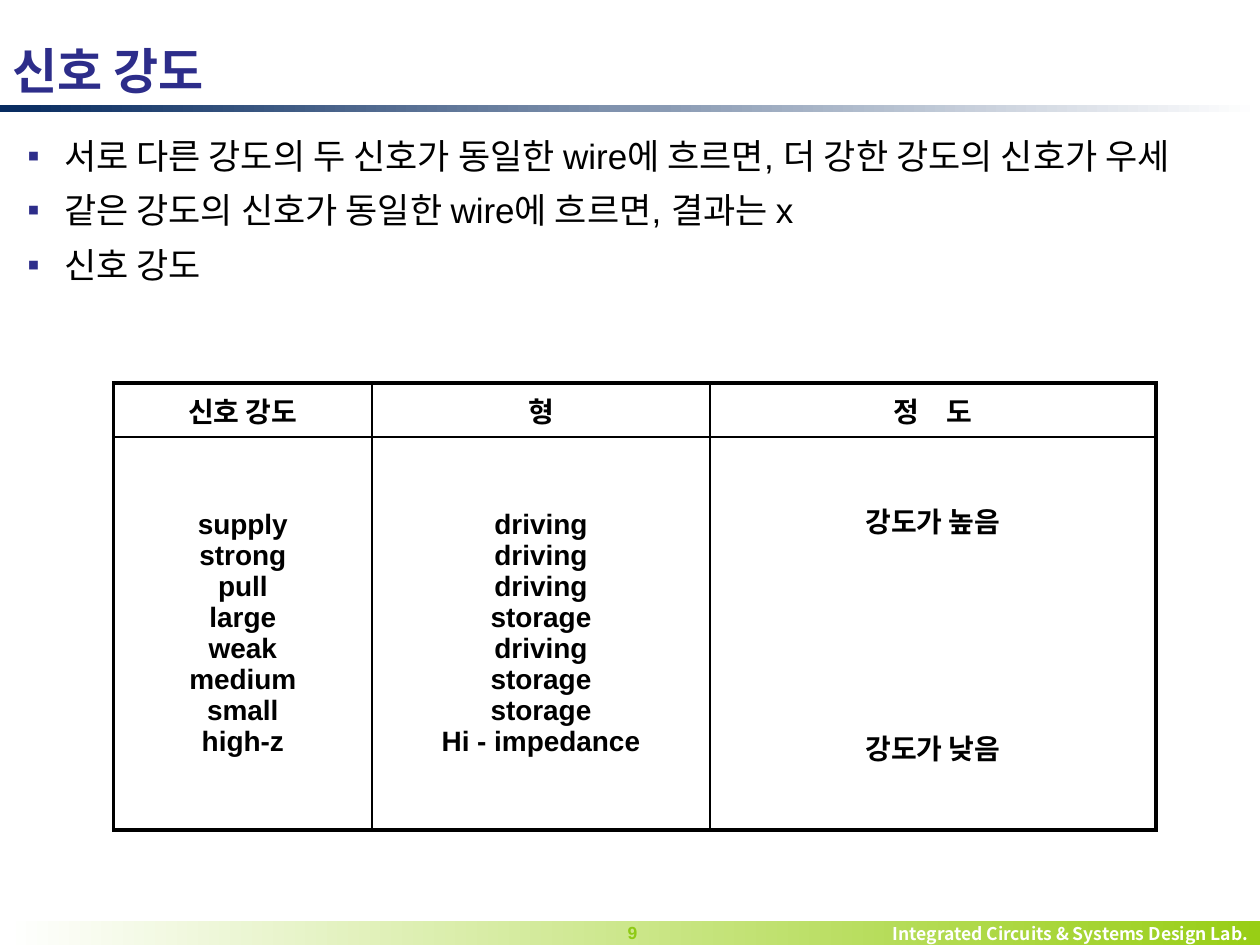
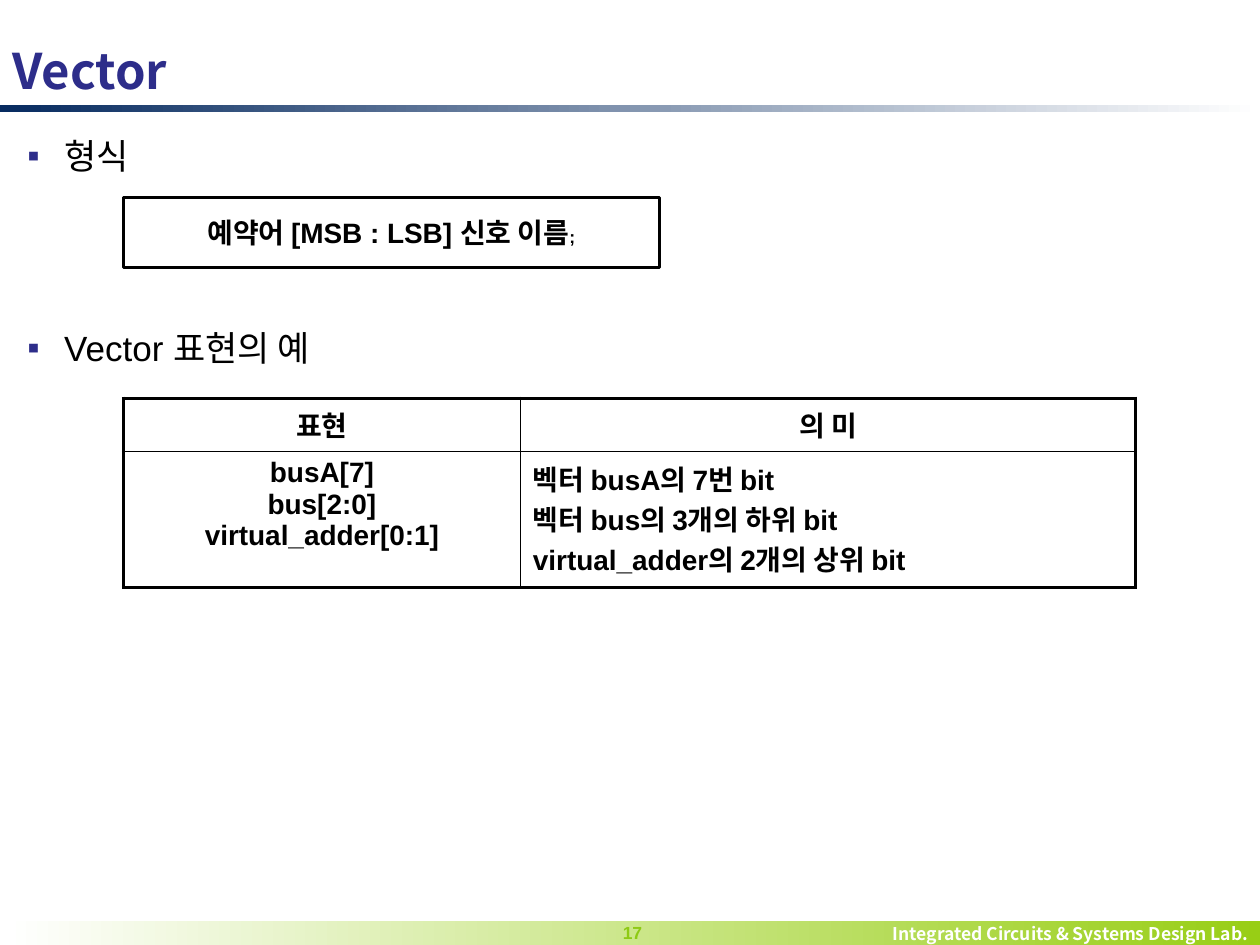
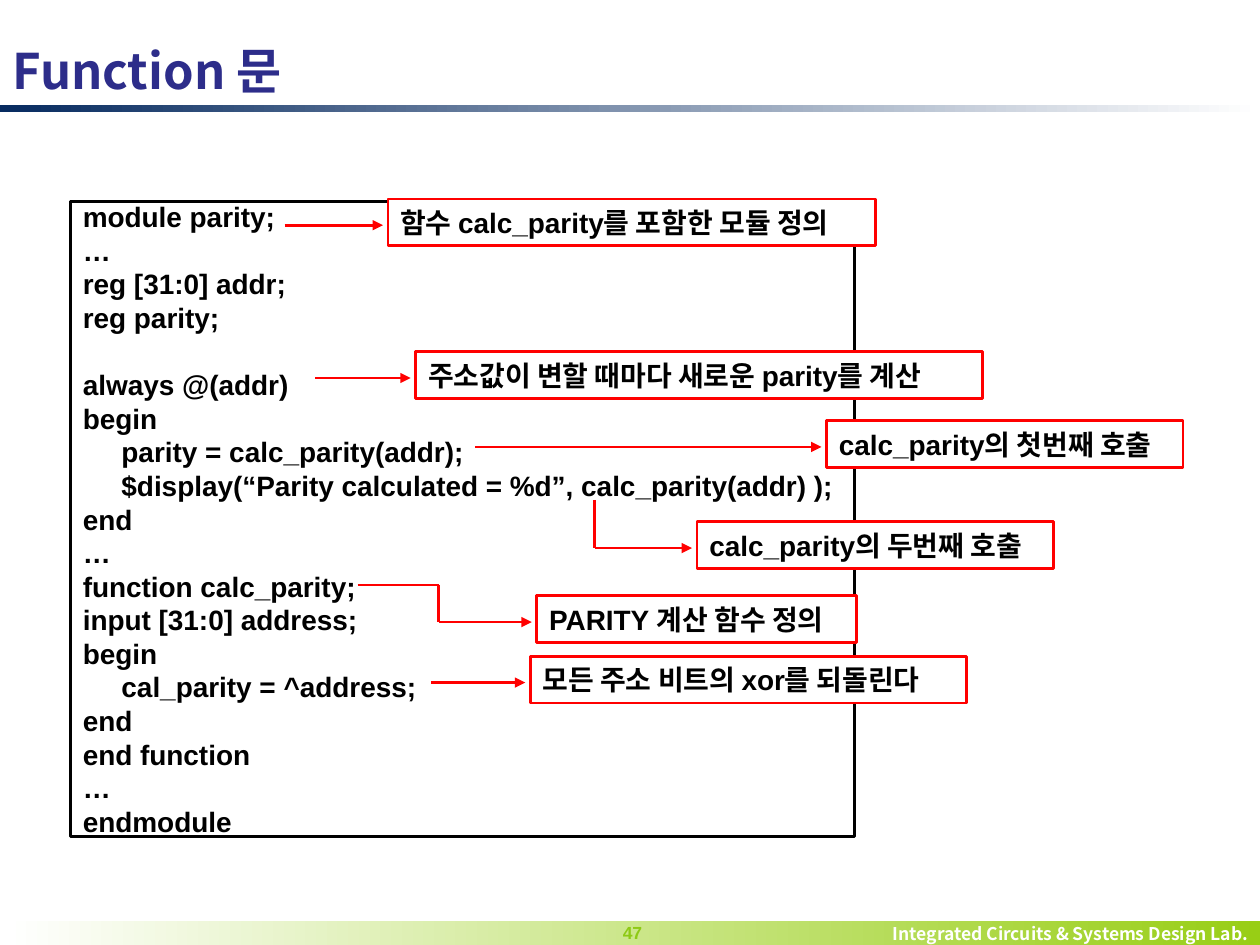
from lxml.etree import SubElement
from pptx import Presentation
from pptx.dml.color import RGBColor
from pptx.enum.shapes import MSO_CONNECTOR, MSO_SHAPE
from pptx.enum.text import MSO_ANCHOR, MSO_AUTO_SIZE, PP_ALIGN
from pptx.oxml import parse_xml
from pptx.oxml.ns import nsdecls, qn
from pptx.util import Cm, Pt

LATIN, KOREAN = "Arial", "Noto Sans CJK KR"
BLACK, WHITE, RED = "000000", "FFFFFF", "FF0000"
NAVY, INDIGO, LIME, PAGE_GREEN = "072B60", "2D2D8A", "98CE15", "8ECA15"
LAB = "Integrated Circuits & Systems Design Lab."
LINE_PITCH = Pt(19.2)
TITLE_AND_BODY, TITLE_ONLY = 1, 5


def rgb(hex_code):
    """Return the colour for a hex string."""
    return RGBColor.from_string(hex_code)


def lengths(*centimetres):
    """Convert centimetres to slide lengths."""
    return [Cm(value) for value in centimetres]


def format_runs(paragraph, size, color=BLACK, bold=True, font=LATIN):
    """Give every run of a paragraph the same character style."""
    for run in paragraph.runs:
        run.font.size, run.font.bold, run.font.name = Pt(size), bold, font
        run.font.color.rgb = rgb(color)
        SubElement(run._r.get_or_add_rPr(), qn("a:ea"), typeface=KOREAN)


def place(holder, box):
    """Move a shape to a box given in centimetres."""
    holder.left, holder.top, holder.width, holder.height = lengths(*box)


def add_box(slide, box, line=None, width=1.5, fill=None):
    """Add a rectangle without a shadow."""
    rectangle = slide.shapes.add_shape(MSO_SHAPE.RECTANGLE, *lengths(*box))
    rectangle.shadow.inherit = False
    if fill:
        rectangle.fill.solid()
        rectangle.fill.fore_color.rgb = rgb(fill)
    else:
        rectangle.fill.background()
    if line:
        rectangle.line.color.rgb = rgb(line)
        rectangle.line.width = Pt(width)
    else:
        rectangle.line.fill.background()
    return rectangle


def write_box(rectangle, text, align=PP_ALIGN.LEFT):
    """Write bold lines at an even pitch, centred vertically."""
    frame = rectangle.text_frame
    frame.text = text
    frame.word_wrap = True
    frame.vertical_anchor = MSO_ANCHOR.MIDDLE
    for paragraph in frame.paragraphs:
        paragraph.alignment = align
        paragraph.line_spacing = LINE_PITCH
        format_runs(paragraph, 16)
    return frame


def add_band(slide, box, start, end):
    """Add a band that fades from left to right."""
    band = add_box(slide, box)
    band.fill.gradient()
    band.fill.gradient_angle = 0
    for stop, color in zip(band.fill.gradient_stops, (start, end)):
        stop.color.rgb = rgb(color)
    for stop, position in zip(band.fill.gradient_stops, (0, 1)):
        stop.position = position
    return band


def build_master(deck, slide):
    """Put the title rule and the footer band on the slide master."""
    rule = add_band(slide, (0, 2.11, 25.4, 0.15), NAVY, WHITE)
    footer = add_band(slide, (0.1, 18.57, 25.3, 0.48), WHITE, LIME)
    frame = footer.text_frame
    frame.text = LAB
    frame.word_wrap = True
    frame.margin_top = frame.margin_bottom = 0
    frame.vertical_anchor = MSO_ANCHOR.MIDDLE
    frame.paragraphs[0].alignment = PP_ALIGN.RIGHT
    format_runs(frame.paragraphs[0], 10, WHITE, font=KOREAN)
    tree = deck.slide_master.element.cSld.spTree
    for order, band in enumerate((rule, footer)):
        band.element.nvSpPr.cNvPr.set("id", str(100 + order))
        tree.insert(2 + order, band.element)


def start_slide(deck, layout, title, page):
    """Add a slide with its title and page number."""
    slide = deck.slides.add_slide(deck.slide_layouts[layout])
    heading = slide.shapes.title
    place(heading, (0, 0.61, 25.4, 1.6))
    frame = heading.text_frame
    frame.text = title
    frame.auto_size = MSO_AUTO_SIZE.NONE
    frame.vertical_anchor = MSO_ANCHOR.MIDDLE
    frame.paragraphs[0].alignment = PP_ALIGN.LEFT
    format_runs(frame.paragraphs[0], 28, INDIGO, font=KOREAN)

    number = slide.shapes.add_textbox(*lengths(11.76, 18.47, 1.98, 0.69)).text_frame
    number.text = str(page)
    number.word_wrap = True
    number.paragraphs[0].alignment = PP_ALIGN.CENTER
    format_runs(number.paragraphs[0], 10, PAGE_GREEN)
    return slide


def fill_bullets(slide, items, gap=4):
    """Write the bullet list into the body placeholder."""
    body = slide.placeholders[1]
    place(body, (0.3, 2.46, 25.1, 15.75))
    frame = body.text_frame
    frame.text = "\n".join(items)
    frame.auto_size = MSO_AUTO_SIZE.NONE
    for order, paragraph in enumerate(frame.paragraphs):
        properties = paragraph._p.get_or_add_pPr()
        properties.set("marL", str(Cm(0.74)))
        properties.set("indent", str(-Cm(0.74)))
        bullet_color = SubElement(properties, qn("a:buClr"))
        SubElement(bullet_color, qn("a:srgbClr"), val=INDIGO)
        SubElement(properties, qn("a:buChar"), char="▪")
        paragraph.line_spacing = Pt(27.3)
        paragraph.space_before = Pt(gap if order else 0)
        format_runs(paragraph, 20, bold=False)


def set_borders(cell, outer_sides):
    """Rule a cell, heavier on the sides at the table's edge."""
    properties = cell._tc.get_or_add_tcPr()
    for order, side in enumerate("LRTB"):
        width = Pt(2.25 if side in outer_sides else 1)
        properties.insert(order, parse_xml(
            f'<a:ln{side} {nsdecls("a")} w="{width}"><a:solidFill>'
            f'<a:srgbClr val="{BLACK}"/></a:solidFill></a:ln{side}>'))


def add_ruled_table(slide, origin, widths, heights, rows, anchor):
    """Add a plain ruled table and return it."""
    box = (*origin, sum(widths), sum(heights))
    table = slide.shapes.add_table(len(rows), len(widths), *lengths(*box)).table
    table.first_row = table.horz_banding = False
    for column, width in zip(table.columns, widths):
        column.width = Cm(width)
    for r, (height, texts) in enumerate(zip(heights, rows)):
        table.rows[r].height = Cm(height)
        for c, text in enumerate(texts):
            cell = table.cell(r, c)
            cell.text = text
            cell.vertical_anchor = anchor
            cell.fill.background()
            edges = {"L": c == 0, "R": c == len(widths) - 1,
                     "T": r == 0, "B": r == len(rows) - 1}
            set_borders(cell, [side for side, outer in edges.items() if outer])
            for paragraph in cell.text_frame.paragraphs:
                paragraph.alignment = PP_ALIGN.CENTER
                format_runs(paragraph, 16)
    return table


def add_leader(slide, start, end, arrow):
    """Draw one straight red piece of a leader."""
    leader = slide.shapes.add_connector(
        MSO_CONNECTOR.STRAIGHT, *lengths(*start, *end))
    leader.line.color.rgb = rgb(RED)
    leader.line.width = Pt(1.5)
    if arrow:
        SubElement(leader.line._get_or_add_ln(), qn("a:tailEnd"), type="triangle")
    SubElement(leader.element.spPr, qn("a:effectLst"))


def add_callout(slide, origin, offset, width, text, tail, bends=()):
    """Add a red note and the leader that runs to it through its bends."""
    left, top = origin[0] + offset[0], origin[1] + offset[1]
    note = add_box(slide, (left, top, width, 0.94), RED, fill=WHITE)
    write_box(note, text)
    arrow_y = top + 0.53
    route = [(origin[0] + x, origin[1] + y) for x, y in bends]
    route += [(origin[0] + tail, arrow_y), (left - 0.1, arrow_y)]
    for order, (start, end) in enumerate(zip(route, route[1:])):
        add_leader(slide, start, end, order == len(route) - 2)


def build_strength(slide):
    """Fill the slide on signal strength."""
    fill_bullets(slide, [
        "서로 다른 강도의 두 신호가 동일한 wire에 흐르면, 더 강한 강도의 신호가 우세",
        "같은 강도의 신호가 동일한 wire에 흐르면, 결과는 x",
        "신호 강도",
    ])
    strengths = "supply strong pull large weak medium small high-z".split()
    kinds = ["driving", "driving", "driving", "storage", "driving",
             "storage", "storage", "Hi - impedance"]
    table = add_ruled_table(
        slide, (2.29, 7.72), (5.21, 6.81, 8.99), (1.09, 7.92),
        [("신호 강도", "형", "정　도"),
         ("\n".join(strengths), "\n".join(kinds), "강도가 높음\n강도가 낮음")],
        MSO_ANCHOR.MIDDLE)
    lowest = table.cell(1, 2).text_frame.paragraphs[1]
    lowest.space_before = Pt(106.5)


def build_vector(slide):
    """Fill the slide on vectors."""
    fill_bullets(slide, ["형식", "Vector 표현의 예"], gap=82.4)
    syntax = add_box(slide, (2.49, 3.99, 10.8, 1.4), BLACK, 1.75)
    frame = write_box(syntax, "예약어 [MSB : LSB] 신호 이름", PP_ALIGN.CENTER)
    semicolon = frame.paragraphs[0].add_run()
    semicolon.text = ";"
    semicolon.font.size, semicolon.font.bold = Pt(10), True
    semicolon.font.name = LATIN
    semicolon.font.color.rgb = rgb(BLACK)
    table = add_ruled_table(
        slide, (2.49, 8.03), (8, 12.4), (1.07, 2.74),
        [("표현", "의 미"),
         ("busA[7]\nbus[2:0]\nvirtual_adder[0:1]",
          "벡터 busA의 7번 bit\n벡터 bus의 3개의 하위 bit\n"
          "virtual_adder의 2개의 상위 bit")],
        MSO_ANCHOR.TOP)
    for paragraph in table.cell(1, 1).text_frame.paragraphs:
        paragraph.alignment = PP_ALIGN.LEFT


def build_function(slide):
    """Fill the slide on functions with code and its notes."""
    code = """module parity;
…
reg [31:0] addr;
reg parity;
always @(addr)
begin
     parity = calc_parity(addr);
     $display(“Parity calculated = %d”, calc_parity(addr) );
end
…
function calc_parity;
input [31:0] address;
begin
     cal_parity = ^address;
end
end function
…
endmodule"""
    origin = (1.42, 4.06)
    listing = add_box(slide, (*origin, 15.8, 12.8), BLACK, 1.75)
    frame = write_box(listing, code)
    frame.paragraphs[4].space_before = LINE_PITCH
    callouts = [
        ((6.4, -0.05), 9.83, "함수 calc_parity를 포함한 모듈 정의", 4.32),
        ((6.96, 3.03), 11.43, "주소값이 변할 때마다 새로운 parity를 계산", 4.93),
        ((15.24, 4.42), 7.19, "calc_parity의 첫번째 호출", 8.16),
        ((12.63, 6.46), 7.19, "calc_parity의 두번째 호출", 10.57, [(10.57, 6.02)]),
        ((9.4, 7.95), 6.45, "PARITY 계산 함수 정의", 7.42,
         [(5.79, 7.73), (7.42, 7.73)]),
        ((9.27, 9.17), 8.79, "모든 주소 비트의 xor를 되돌린다", 7.27),
    ]
    for callout in callouts:
        add_callout(slide, origin, *callout)


def main():
    """Build and save the deck."""
    deck = Presentation()
    deck.slide_width, deck.slide_height = lengths(25.4, 19.05)
    pages = [
        (TITLE_AND_BODY, "신호 강도", 9, build_strength),
        (TITLE_AND_BODY, "Vector", 17, build_vector),
        (TITLE_ONLY, "Function 문", 47, build_function),
    ]
    for layout, title, page, build in pages:
        build(start_slide(deck, layout, title, page))
    build_master(deck, deck.slides[0])
    deck.save("out.pptx")


if __name__ == "__main__":
    main()
